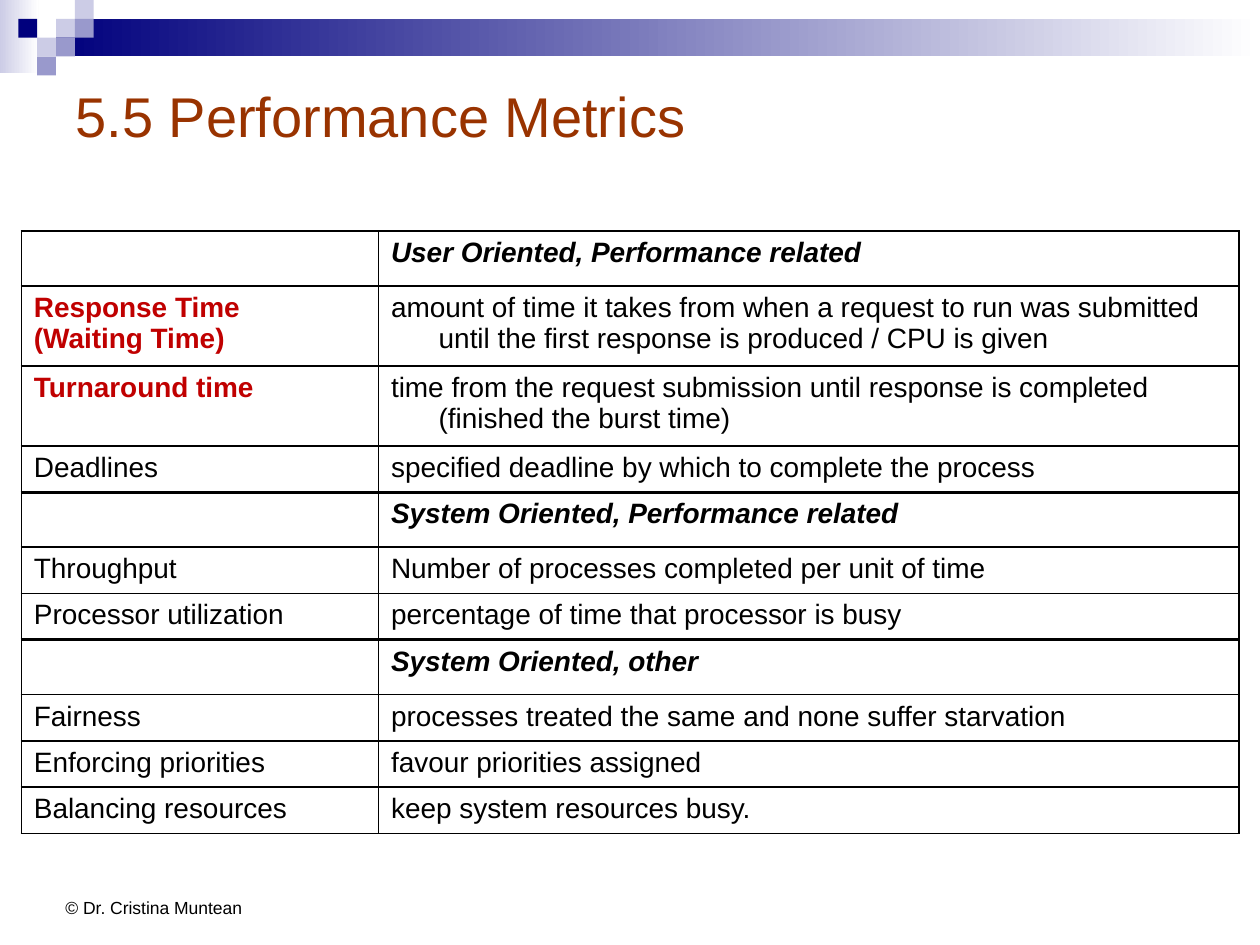
from dataclasses import dataclass

from lxml.etree import SubElement
from pptx import Presentation
from pptx.dml.color import RGBColor as Rgb
from pptx.enum.shapes import MSO_SHAPE as Preset
from pptx.enum.text import MSO_ANCHOR as Anchor
from pptx.oxml.ns import qn
from pptx.util import Cm, Pt


@dataclass(frozen=True)
class Theme:
    font: str = "Arial"
    navy: str = "00007D"
    lilac: str = "CCCCE6"
    violet: str = "9999CC"
    white: str = "FFFFFF"
    black: str = "000000"
    rust: str = "993300"
    red: str = "C00000"
    title_size: int = 32
    body_size: int = 16
    footer_size: int = 10


THEME = Theme()

HEADER, SHORT, TALL = 1.11, 0.93, 1.6
METRICS = [
    (HEADER, "", "User Oriented, Performance related"),
    (TALL, "Response Time\n(Waiting Time)",
     "amount of time it takes from when a request to run was submitted "
     "until the first response is produced / CPU is given"),
    (TALL, "Turnaround time",
     "time from the request submission until response is completed "
     "(finished the burst time)"),
    (SHORT, "Deadlines", "specified deadline by which to complete the process"),
    (HEADER, "", "System Oriented, Performance related"),
    (SHORT, "Throughput", "Number of processes completed per unit of time"),
    (SHORT, "Processor utilization", "percentage of time that processor is busy"),
    (HEADER, "", "System Oriented, other"),
    (SHORT, "Fairness", "processes treated the same and none suffer starvation"),
    (SHORT, "Enforcing priorities", "favour priorities assigned"),
    (SHORT, "Balancing resources", "keep system resources busy."),
]


def write(frame, text, size, color=THEME.black, bold=False, italic=False, hanging=0):
    for index, line in enumerate(text.split("\n")):
        paragraph = frame.paragraphs[0] if index == 0 else frame.add_paragraph()
        if hanging:
            properties = paragraph._p.get_or_add_pPr()
            properties.set("marL", str(Cm(hanging)))
            properties.set("indent", str(-Cm(hanging)))
        run = paragraph.add_run()
        run.text = line
        run.font.name = THEME.font
        run.font.size = Pt(size)
        run.font.color.rgb = Rgb.from_string(color)
        run.font.bold = bold
        run.font.italic = italic


def add_block(slide, left, top, width, height, color, fade_to=None):
    block = slide.shapes.add_shape(
        Preset.RECTANGLE, Cm(left), Cm(top), Cm(width), Cm(height))
    block.shadow.inherit = False
    block.line.fill.background()
    if fade_to:
        block.fill.gradient()
        block.fill.gradient_angle = 0
        for stop, shade, position in zip(
                block.fill.gradient_stops, (color, fade_to), (0, 1)):
            stop.color.rgb = Rgb.from_string(shade)
            stop.position = position
    else:
        block.fill.solid()
        block.fill.fore_color.rgb = Rgb.from_string(color)


def add_banner(slide, left, top, width):
    tile = 0.38
    mosaic_left = left + 0.37
    bar_left = mosaic_left + 2 * tile
    add_block(slide, left, top, 0.78, 1.47, THEME.lilac, THEME.white)
    add_block(slide, bar_left, top + tile, left + width - bar_left, 2 * tile,
              THEME.navy, THEME.white)
    for column, row, color in [
        (2, 1, THEME.lilac), (3, 0, THEME.lilac), (3, 1, THEME.violet),
        (1, 2, THEME.lilac), (0, 1, THEME.navy), (2, 2, THEME.violet),
        (1, 3, THEME.violet),
    ]:
        add_block(slide, mosaic_left + column * tile, top + row * tile,
                  tile, tile, color)


def add_line_of_text(slide, left, top, width, height, text, wrap=True, **style):
    frame = slide.shapes.add_textbox(
        Cm(left), Cm(top), Cm(width), Cm(height)).text_frame
    frame.word_wrap = wrap
    frame.vertical_anchor = Anchor.MIDDLE
    write(frame, text, **style)


def set_borders(cell, **widths):
    properties = cell._tc.get_or_add_tcPr()
    for position, side in enumerate("LRTB"):
        edge = SubElement(properties, qn(f"a:ln{side}"), w=str(Pt(widths.get(side, 1))))
        fill = SubElement(edge, qn("a:solidFill"))
        SubElement(fill, qn("a:srgbClr"), val=THEME.black)
        properties.remove(edge)
        properties.insert(position, edge)


def add_metrics(slide, left, top, width, name_width):
    heights = [height for height, _, _ in METRICS]
    table = slide.shapes.add_table(
        len(METRICS), 2, Cm(left), Cm(top), Cm(width), Cm(sum(heights))).table
    table.first_row = False
    table.horz_banding = False
    table.columns[0].width = Cm(name_width)
    table.columns[1].width = Cm(width - name_width)
    for index, (height, *texts) in enumerate(METRICS):
        table.rows[index].height = Cm(height)
        heading = height == HEADER
        above = 2 if heading and index else 1
        below = 2 if heights[index + 1:index + 2] == [HEADER] else 1
        for column, text in enumerate(texts):
            cell = table.cell(index, column)
            cell.fill.background()
            set_borders(cell, T=above, B=below)
            if text:
                key_metric = height == TALL and column == 0
                write(cell.text_frame, text, THEME.body_size,
                      color=THEME.red if key_metric else THEME.black,
                      bold=heading or key_metric, italic=heading, hanging=0.96)


def build():
    deck = Presentation()
    deck.slide_width, deck.slide_height = Cm(25.4), Cm(19.05)
    slide = deck.slides.add_slide(deck.slide_layouts[6])
    add_banner(slide, 0, 0, 25.4)
    add_line_of_text(slide, 1.07, 17.78, 4.27, 1.02, "© Dr. Cristina Muntean",
                     wrap=False, size=THEME.footer_size)
    add_line_of_text(slide, 1.27, 1.27, 22.86, 2.12, "5.5 Performance Metrics",
                     size=THEME.title_size, color=THEME.rust)
    add_metrics(slide, 0.43, 4.66, 24.55, 7.2)
    deck.save("out.pptx")


build()
